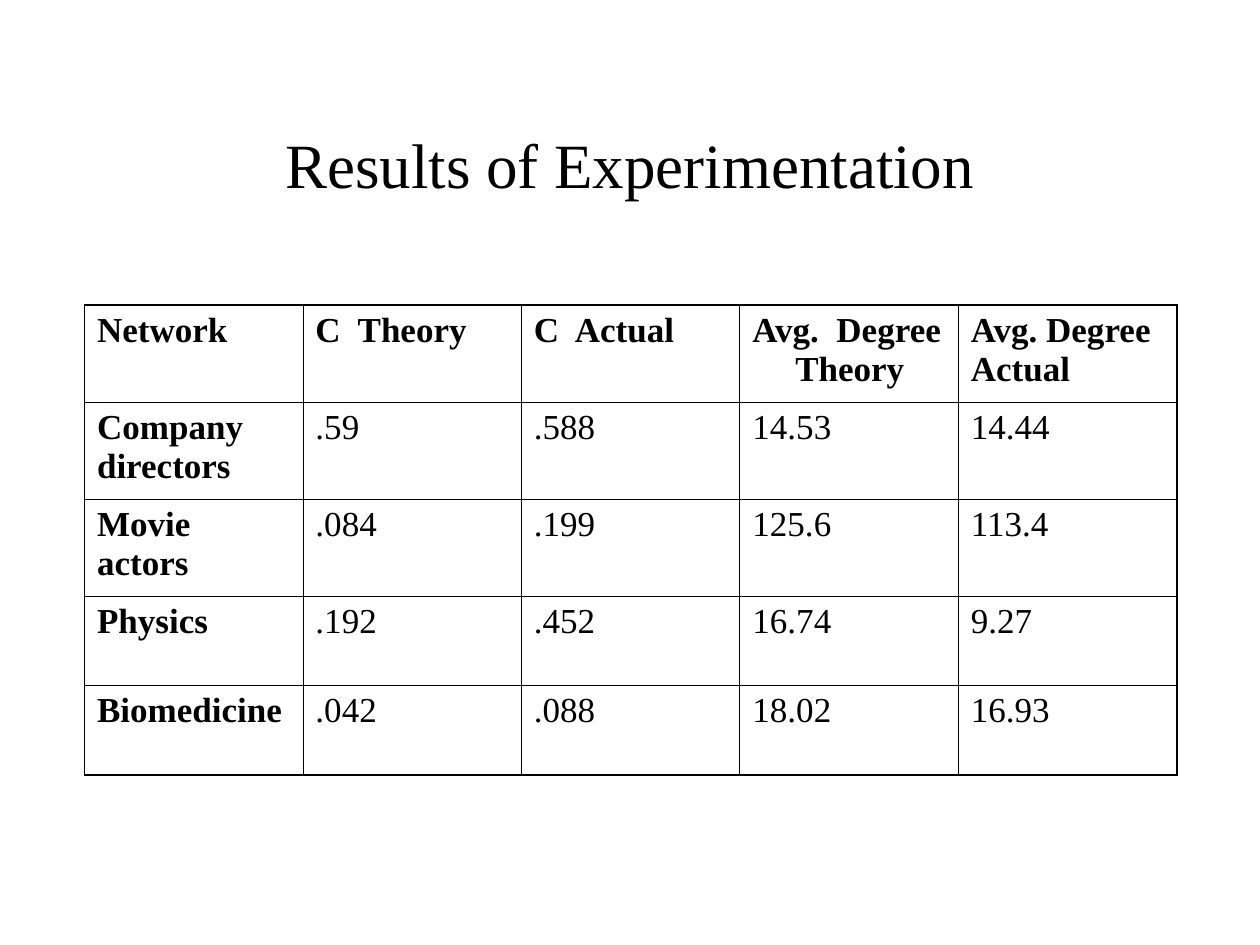
"""Build a slide with a table of network experiment results."""
from lxml.etree import SubElement as Sub
from pptx import Presentation
from pptx.dml.color import RGBColor as Rgb
from pptx.enum.text import MSO_ANCHOR as Anchor, PP_ALIGN as Align
from pptx.oxml.ns import qn
from pptx.util import Inches, Pt

TITLE = "Results of Experimentation"
ROWS = [
    ("Network", "C  Theory", "C  Actual", "Avg.  Degree Theory", "Avg. Degree Actual"),
    ("Company directors", ".59", ".588", "14.53", "14.44"),
    ("Movie actors", ".084", ".199", "125.6", "113.4"),
    ("Physics", ".192", ".452", "16.74", "9.27"),
    ("Biomedicine", ".042", ".088", "18.02", "16.93"),
]
HIGH = (0.77, 0.77, 0.77, 0.71, 0.71)
LEFT, TOP, WIDE = 0.67, 2.42, 8.67
HANG = 0.34
THIN, THICK = 0.45, 1.08
FONT = "Times New Roman"
COLORS = {"ink": "000000", "paper": "FFFFFF"}


def write(para, text, size, bold=False):
    run = para.add_run()
    run.text = text
    font = run.font
    font.name, font.size, font.bold = FONT, Pt(size), bold
    font.color.rgb = Rgb.from_string(COLORS["ink"])


def border(cell, outer):
    props = cell._tc.get_or_add_tcPr()
    for side, edge in outer.items():
        line = Sub(props, qn(f"a:ln{side}"), w=str(Pt(THICK if edge else THIN)))
        fill = Sub(line, qn("a:solidFill"))
        Sub(fill, qn("a:srgbClr"), val=COLORS["ink"])


def add_title(slide):
    box = slide.shapes.add_textbox(Inches(0.75), Inches(0.67), Inches(8.5), Inches(1.25))
    frame = box.text_frame
    frame.word_wrap = True
    frame.vertical_anchor = Anchor.MIDDLE
    para = frame.paragraphs[0]
    para.alignment = Align.CENTER
    write(para, TITLE, 36)


def add_results(slide):
    count, wide = len(ROWS), len(ROWS[0])
    table = slide.shapes.add_table(
        count, wide, Inches(LEFT), Inches(TOP), Inches(WIDE), Inches(sum(HIGH))
    ).table
    table.first_row = table.horz_banding = False
    for row, high in zip(table.rows, HIGH):
        row.height = Inches(high)
    for r, row in enumerate(ROWS):
        for c, text in enumerate(row):
            cell = table.cell(r, c)
            border(cell, {"L": c == 0, "R": c == wide - 1, "T": r == 0, "B": r == count - 1})
            cell.fill.solid()
            cell.fill.fore_color.rgb = Rgb.from_string(COLORS["paper"])
            para = cell.text_frame.paragraphs[0]
            para.space_before = Pt(5)
            write(para, text, 20, r == 0 or c == 0)
    props = table.cell(0, 3).text_frame.paragraphs[0]._p.get_or_add_pPr()
    props.set("marL", str(Inches(HANG)))
    props.set("indent", str(-Inches(HANG)))


def main():
    deck = Presentation()
    deck.slide_width, deck.slide_height = Inches(10), Inches(7.5)
    slide = deck.slides.add_slide(deck.slide_layouts[6])
    add_results(slide)
    add_title(slide)
    deck.save("out.pptx")


if __name__ == "__main__":
    main()
